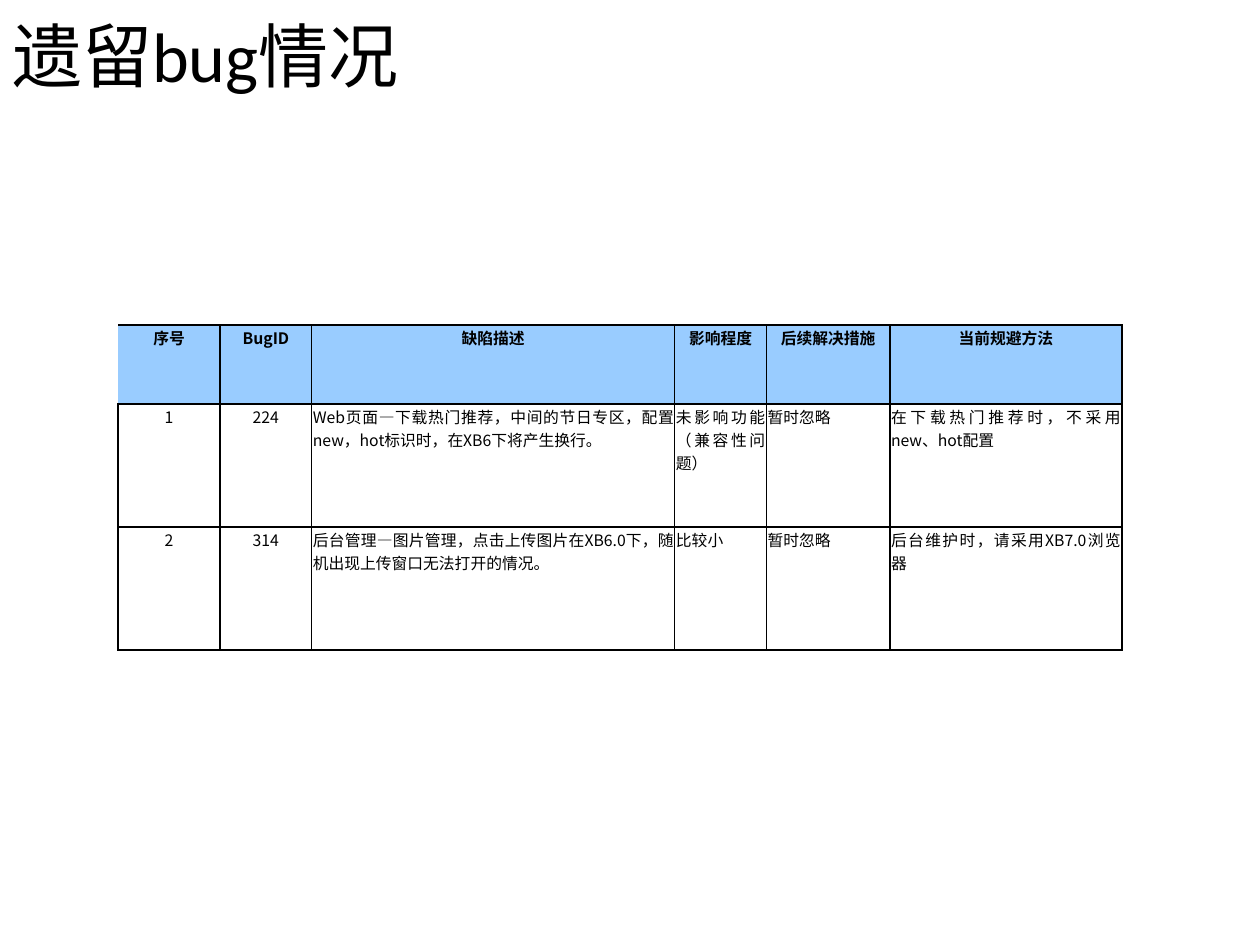
import pptx
import pptx.dml.color
import pptx.enum.text
import pptx.oxml.ns
import pptx.util
from lxml import etree

Pt = pptx.util.Pt
ALIGN = pptx.enum.text.PP_ALIGN
ANCHOR = pptx.enum.text.MSO_ANCHOR
qn = pptx.oxml.ns.qn

BLACK = "000000"
HEADER_BLUE = "99CCFF"
CJK_FONT = "Noto Sans CJK SC"
COLUMN_WIDTHS = [58.3, 52.3, 207.5, 52.3, 70.6, 132.6]
ROW_HEIGHTS = [45.2, 70.2, 70.2]
BUG_ROWS = [
    ["序号", "BugID", "缺陷描述", "影响程度", "后续解决措施", "当前规避方法"],
    ["1", "224", "Web页面—下载热门推荐，中间的节日专区，配置new，hot标识时，在XB6下将产生换行。",
     "未影响功能（兼容性问题）", "暂时忽略", "在下载热门推荐时，不采用new、hot配置"],
    ["2", "314", "后台管理—图片管理，点击上传图片在XB6.0下，随机出现上传窗口无法打开的情况。",
     "比较小", "暂时忽略", "后台维护时，请采用XB7.0浏览器"],
]


def rgb(value):
    return pptx.dml.color.RGBColor.from_string(value)


def add_run(paragraph, text, size, font, bold=False):
    run = paragraph.add_run()
    run.text = text
    run.font.size = Pt(size)
    run.font.name = font
    run.font.bold = bold
    run.font.color.rgb = rgb(BLACK)
    east_asian = etree.Element(qn("a:ea"), typeface=CJK_FONT)
    run.font._element.find(qn("a:latin")).addnext(east_asian)


def add_title(slide, text):
    title = slide.shapes.add_textbox(Pt(0), Pt(5), Pt(648), Pt(52))
    frame = title.text_frame
    frame.word_wrap = True
    frame.vertical_anchor = ANCHOR.MIDDLE
    add_run(frame.paragraphs[0], text, 40, "Calibri")


def set_borders(cell, visible_sides):
    properties = cell._tc.get_or_add_tcPr()
    for side in "LRTB":
        border = etree.SubElement(properties, qn("a:ln" + side), w=str(Pt(1)))
        if side in visible_sides:
            fill = etree.SubElement(border, qn("a:solidFill"))
            etree.SubElement(fill, qn("a:srgbClr"), val=BLACK)
        else:
            etree.SubElement(border, qn("a:noFill"))


def fill_cell(cell, text, row, column):
    is_header = row == 0
    cell.margin_left = cell.margin_right = cell.margin_top = Pt(0.72)
    cell.margin_bottom = Pt(0)
    set_borders(cell, "RTB" if is_header and column == 0 else "LRTB")
    if is_header:
        cell.fill.solid()
        cell.fill.fore_color.rgb = rgb(HEADER_BLUE)
    else:
        cell.fill.background()
    paragraph = cell.text_frame.paragraphs[0]
    paragraph.alignment = ALIGN.CENTER if is_header or column < 2 else ALIGN.JUSTIFY
    add_run(paragraph, text, 9, CJK_FONT, is_header)


def add_bug_table(slide):
    bug_table = slide.shapes.add_table(
        len(ROW_HEIGHTS), len(COLUMN_WIDTHS), Pt(67.5), Pt(185.8),
        Pt(sum(COLUMN_WIDTHS)), Pt(sum(ROW_HEIGHTS))).table
    bug_table.horz_banding = False
    for column, width in zip(bug_table.columns, COLUMN_WIDTHS):
        column.width = Pt(width)
    for row, height in zip(bug_table.rows, ROW_HEIGHTS):
        row.height = Pt(height)
    for row, texts in enumerate(BUG_ROWS):
        for column, text in enumerate(texts):
            fill_cell(bug_table.cell(row, column), text, row, column)


def main():
    presentation = pptx.Presentation()
    presentation.slide_width = Pt(720)
    presentation.slide_height = Pt(540)
    slide = presentation.slides.add_slide(presentation.slide_layouts[6])
    add_title(slide, "遗留bug情况")
    add_bug_table(slide)
    presentation.save("out.pptx")


main()
